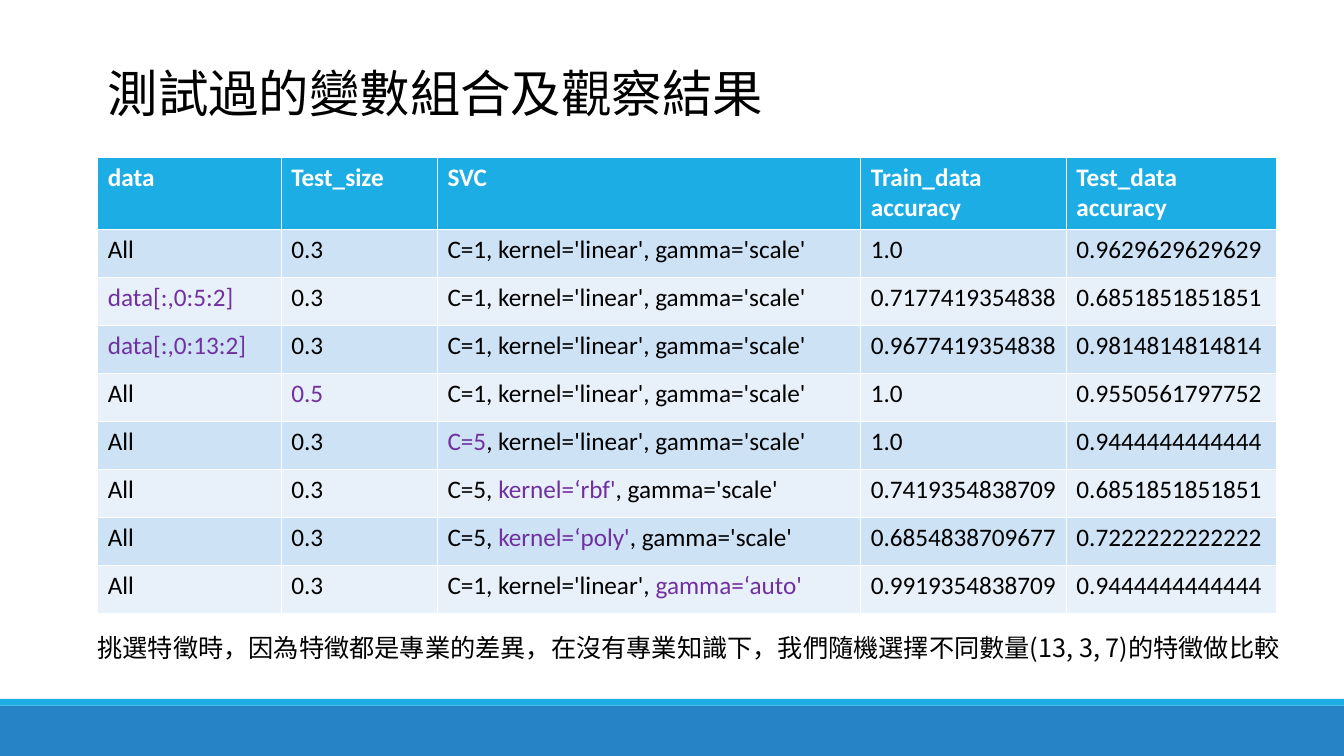
import pptx
import pptx.dml.color
import pptx.enum.shapes
import pptx.enum.text
import pptx.util

Pt = pptx.util.Pt
COLORS = {
    "header": "1CADE4", "footer": "2683C6", "odd": "CDE3F5", "even": "E8F1FA",
    "text": "000000", "changed": "7030A0", "white": "FFFFFF",
}
HEADINGS = ["data", "Test_size", "SVC", "Train_data accuracy", "Test_data accuracy"]
LINEAR = "C=1, kernel='linear', gamma='scale'"
TRIALS = [
    ["All", "0.3", LINEAR, "1.0", "0.9629629629629"],
    ["*data[:,0:5:2]", "0.3", LINEAR, "0.7177419354838", "0.6851851851851"],
    ["*data[:,0:13:2]", "0.3", LINEAR, "0.9677419354838", "0.9814814814814"],
    ["All", "*0.5", LINEAR, "1.0", "0.9550561797752"],
    ["All", "0.3", "*C=5*, kernel='linear', gamma='scale'", "1.0", "0.9444444444444"],
    ["All", "0.3", "C=5, *kernel=‘rbf'*, gamma='scale'", "0.7419354838709", "0.6851851851851"],
    ["All", "0.3", "C=5, *kernel=‘poly'*, gamma='scale'", "0.6854838709677", "0.7222222222222"],
    ["All", "0.3", "C=1, kernel='linear', *gamma=‘auto'", "0.9919354838709", "0.9444444444444"],
]
COLUMN_WIDTHS = [131.04, 111.6, 302.4, 146.88, 150.48]
HEADER_HEIGHT, TRIAL_HEIGHT = 51.84, 34.3


def rgb(name):
    """Return the named colour."""
    return pptx.dml.color.RGBColor.from_string(COLORS[name])


def style_run(run, size, color, face="Calibri", bold=False):
    """Set the font of one run."""
    run.font.size = Pt(size)
    run.font.name = face
    run.font.bold = bold
    run.font.color.rgb = rgb(color)


def add_line_of_text(slide, box, text, size, face, wrap):
    """Place a one-paragraph text in the box."""
    frame = slide.shapes.add_textbox(*map(Pt, box)).text_frame
    frame.word_wrap = wrap
    frame.auto_size = pptx.enum.text.MSO_AUTO_SIZE.SHAPE_TO_FIT_TEXT
    frame.text = text
    paragraph = frame.paragraphs[0]
    paragraph.line_spacing = 0.85
    style_run(paragraph.runs[0], size, "text", face)


def add_footer(slide, box):
    """Fill the box with a thin light band above a dark one."""
    left, top, width, height = box
    edge = 4.8
    bands = [("footer", top + edge, height - edge), ("header", top, edge)]
    for color, band_top, band_height in bands:
        band = slide.shapes.add_shape(
            pptx.enum.shapes.MSO_SHAPE.RECTANGLE,
            Pt(left), Pt(band_top), Pt(width), Pt(band_height))
        band.shadow.inherit = False
        band.fill.solid()
        band.fill.fore_color.rgb = rgb(color)
        band.line.fill.background()


def fill_cell(cell, text, fill, color="text", bold=False):
    """Write a cell, with the parts between asterisks in the changed colour."""
    cell.fill.solid()
    cell.fill.fore_color.rgb = rgb(fill)
    paragraph = cell.text_frame.paragraphs[0]
    for index, part in enumerate(text.split("*")):
        if part:
            run = paragraph.add_run()
            run.text = part
            style_run(run, 18, "changed" if index % 2 else color, bold=bold)


def add_results(slide, box):
    """Place the table of trials in the box."""
    results = slide.shapes.add_table(
        len(TRIALS) + 1, len(HEADINGS), *map(Pt, box)).table
    for column, width in zip(results.columns, COLUMN_WIDTHS):
        column.width = Pt(width)
    for index, row in enumerate(results.rows):
        row.height = Pt(TRIAL_HEIGHT if index else HEADER_HEIGHT)
    for column, heading in enumerate(HEADINGS):
        fill_cell(results.cell(0, column), heading, "header", "white", True)
    for row, trial in enumerate(TRIALS, 1):
        for column, value in enumerate(trial):
            fill_cell(results.cell(row, column), value, "odd" if row % 2 else "even")


def main():
    """Build and save the slide."""
    deck = pptx.Presentation()
    deck.slide_width, deck.slide_height = Pt(960), Pt(540)
    slide = deck.slides.add_slide(deck.slide_layouts[6])
    add_footer(slide, (0, 499.2, 960, 40.8))
    add_line_of_text(slide, (69.84, 47.52, 487.44, 51.12),
                     "測試過的變數組合及觀察結果", 36, "Calibri", False)
    table_height = HEADER_HEIGHT + TRIAL_HEIGHT * len(TRIALS)
    add_results(slide, (69.84, 112.2, sum(COLUMN_WIDTHS), table_height))
    add_line_of_text(
        slide, (62.64, 451.44, 864, 28.8),
        "挑選特徵時，因為特徵都是專業的差異，在沒有專業知識下，我們隨機選擇不同數量(13, 3, 7)的特徵做比較",
        18, "Noto Sans CJK SC", True)
    deck.save("out.pptx")


if __name__ == "__main__":
    main()
